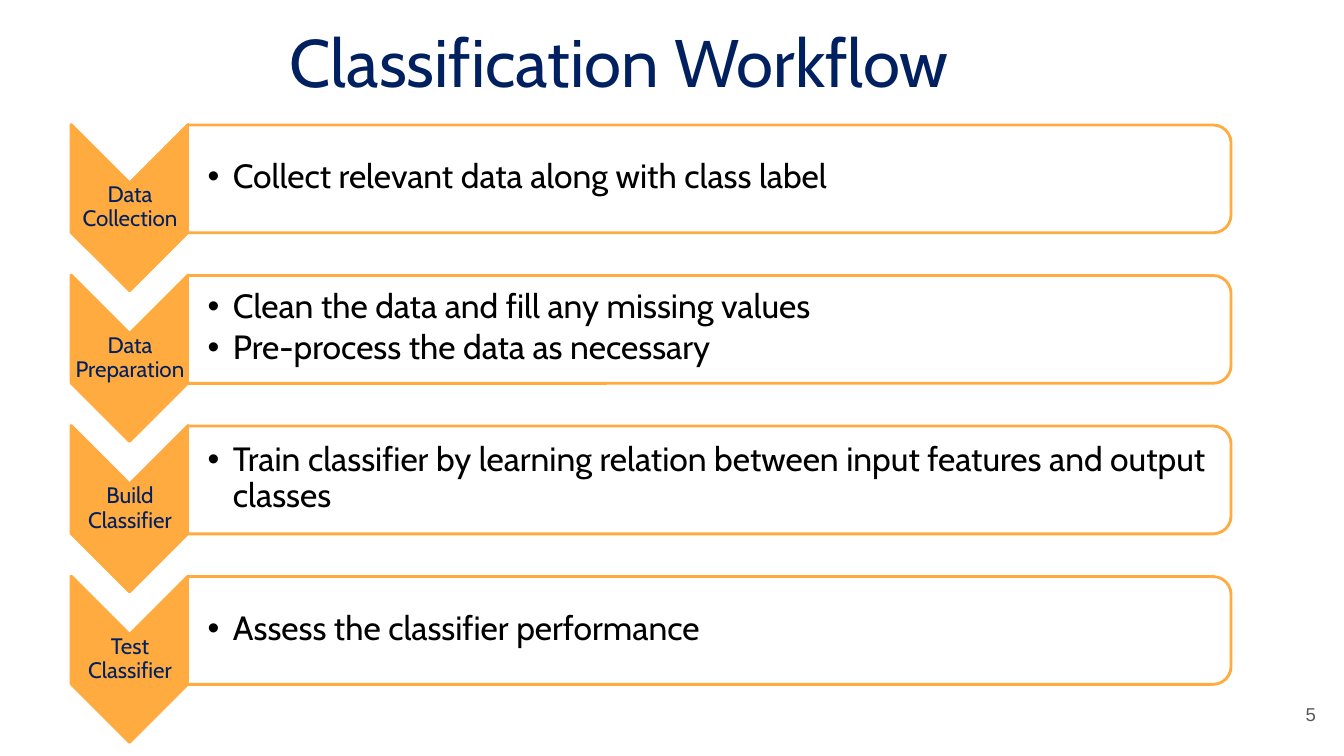
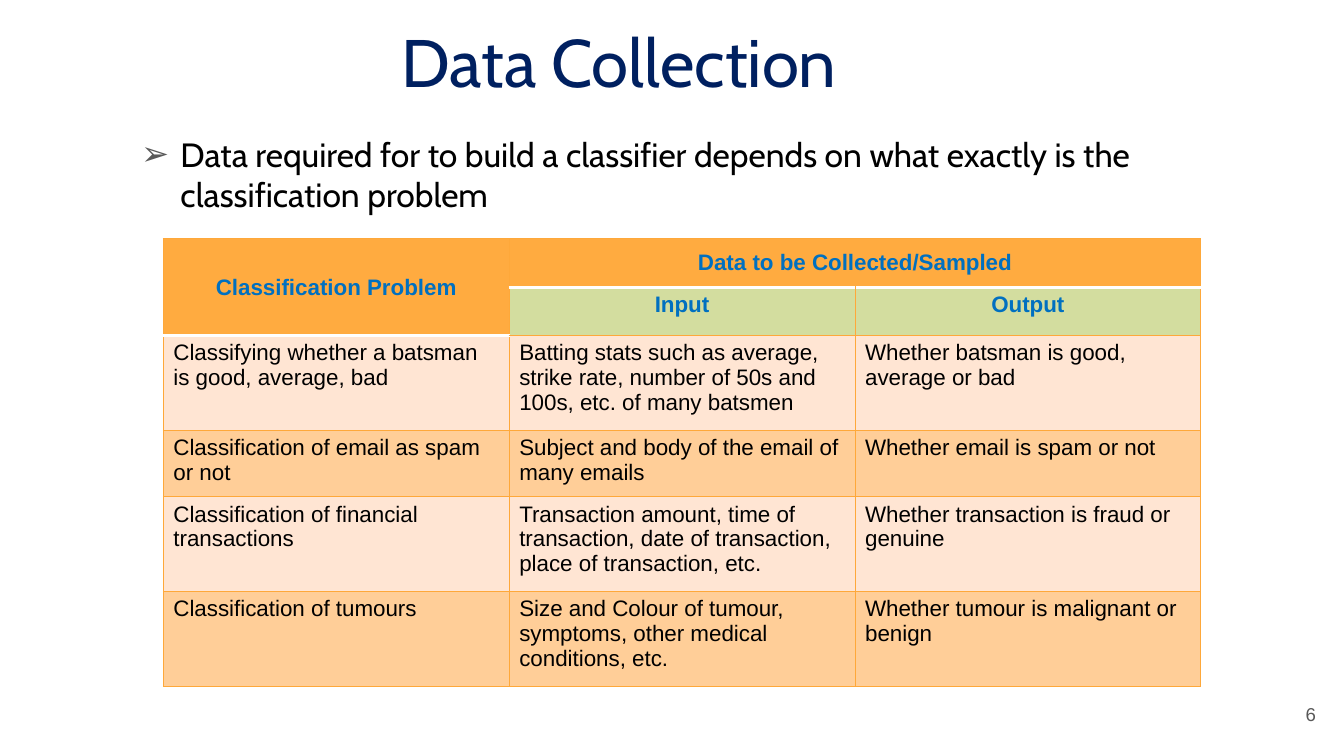
from lxml import etree
from pptx import Presentation
from pptx import util as u
from pptx.dml import color
from pptx.enum import shapes, text
from pptx.oxml import ns

NAVY, ORANGE, BLUE = "002060", "FFAB40", "0070C0"
BLACK, WHITE, GREY = "000000", "FFFFFF", "595959"
GREEN, PALE, PEACH, RULE = "D3DD9F", "FFE5D3", "FFCE98", "FEA83A"
TITLE_ONLY, TITLE_AND_BODY = 5, 1
MIDDLE, TOP = text.MSO_ANCHOR.MIDDLE, text.MSO_ANCHOR.TOP
LEFT, CENTER, RIGHT = text.PP_ALIGN.LEFT, text.PP_ALIGN.CENTER, text.PP_ALIGN.RIGHT


def rgb(value):
    return color.RGBColor.from_string(value)


def add_xml(parent, tag, **attributes):
    return etree.SubElement(parent, ns.qn(tag), attributes)


class Deck:
    def __init__(self):
        self.file = Presentation()
        self.file.slide_width = u.Inches(13.33)
        self.file.slide_height = u.Inches(7.5)
        self.page = None

    def add_page(self, layout, title, number):
        self.page = self.file.slides.add_slide(self.file.slide_layouts[layout])
        box = self.page.shapes.title
        self.place(box, 1.62, 0.15, 9.04, 0.91)
        self.set_frame(box.text_frame, (0.1, 0.05, 0.1, 0.05), TOP)
        self.set_text(box.text_frame, [title], 48, NAVY, align=CENTER)
        self.text_box((12.35, 6.8, 0.8, 0.57), [number], 13.3, GREY,
                      font="Arial", align=RIGHT, margins=(0.1,) * 4)

    def place(self, box, left, top, width, height):
        box.left, box.top = u.Inches(left), u.Inches(top)
        box.width, box.height = u.Inches(width), u.Inches(height)

    def set_text(self, frame, lines, size, ink, font="Cabin", align=LEFT, bold=False,
                 spacing=1.0, after=0, bullet=None):
        frame.text = "\n".join(lines)
        for para in frame.paragraphs:
            if bullet:
                self.bullet(para, *bullet)
            para.alignment = align
            para.line_spacing = spacing
            para.space_before, para.space_after = u.Pt(0), u.Pt(after)
            para.font.name, para.font.size = font, u.Pt(size)
            para.font.bold = bold
            para.font.color.rgb = rgb(ink)

    def bullet(self, para, symbol, ink, indent, hanging):
        properties = para._p.get_or_add_pPr()
        properties.set("marL", str(u.Inches(indent)))
        properties.set("indent", str(u.Inches(-hanging)))
        add_xml(add_xml(properties, "a:buClr"), "a:srgbClr", val=ink)
        add_xml(properties, "a:buFont", typeface="Arial")
        add_xml(properties, "a:buChar", char=symbol)

    def set_frame(self, frame, margins, anchor):
        frame.word_wrap = True
        frame.auto_size = text.MSO_AUTO_SIZE.NONE
        frame.vertical_anchor = anchor
        (frame.margin_left, frame.margin_top,
         frame.margin_right, frame.margin_bottom) = map(u.Inches, margins)

    def text_box(self, area, lines, size, ink, margins, **style):
        box = self.page.shapes.add_textbox(*map(u.Inches, area))
        self.set_frame(box.text_frame, margins, MIDDLE)
        self.set_text(box.text_frame, lines, size, ink, **style)

    def body(self, area, lines):
        box = self.page.placeholders[1]
        self.place(box, *area)
        self.set_frame(box.text_frame, (0.1, 0.05, 0.1, 0.05), TOP)
        self.set_text(box.text_frame, lines, 24, BLACK, bullet=("➢", GREY, 0.49, 0.39))

    def turned_shape(self, kind, area, fill):
        shape = self.page.shapes.add_shape(kind, *map(u.Inches, area))
        shape.rotation = 90
        shape.shadow.inherit = False
        shape.fill.solid()
        shape.fill.fore_color.rgb = rgb(fill)
        shape.line.color.rgb = rgb(ORANGE)
        shape.line.width = u.Pt(2)

    def step(self, offset, label, lines):
        self.turned_shape(shapes.MSO_SHAPE.CHEVRON, (0.46, 1.48 + offset, 1.65, 1.16), ORANGE)
        self.text_box((0.71, 1.81 + offset, 1.16, 0.5), [label], 16, NAVY,
                      (0.01,) * 4, align=CENTER, spacing=0.9, after=5.6)
        self.turned_shape(shapes.MSO_SHAPE.ROUND_2_SAME_RECTANGLE,
                          (6.5, offset - 3.4, 1.07, 10.35), WHITE)
        self.text_box((1.87, 1.28 + offset, 10.29, 0.97), lines, 24, BLACK,
                      (0.19, 0.02, 0.02, 0.02), spacing=0.9, after=3.6,
                      bullet=("•", BLACK, 0.25, 0.25))

    def cell(self, cell, words, fill, header, white_sides=""):
        properties = cell._tc.get_or_add_tcPr()
        for side in "LRTB":
            ink, width = (WHITE, 2) if side in white_sides else (RULE, 0.75)
            line = add_xml(properties, f"a:ln{side}", w=str(u.Pt(width)))
            add_xml(add_xml(line, "a:solidFill"), "a:srgbClr", val=ink)
        cell.fill.solid()
        cell.fill.fore_color.rgb = rgb(fill)
        self.set_text(cell.text_frame, [words], 16, BLUE if header else BLACK,
                      font="Arial", align=CENTER if header else LEFT, bold=header)

    def table(self, left, top, column_width, heights, rows, fills, white_sides):
        size = (column_width * len(rows[0]), sum(heights))
        table = self.page.shapes.add_table(
            len(rows), len(rows[0]), *map(u.Inches, (left, top, *size))).table
        table.horz_banding = False
        for column in table.columns:
            column.width = u.Inches(column_width)
        for r, (height, row) in enumerate(zip(heights, rows)):
            table.rows[r].height = u.Inches(height)
            for c, words in enumerate(row):
                fill = ORANGE if (r, c) == (1, 0) else fills[r]
                self.cell(table.cell(r, c), words, fill, r < 2, white_sides.get((r, c), ""))
        for first, last in (((0, 0), (1, 0)), ((0, 1), (0, 2))):
            table.cell(*first).merge(table.cell(*last))
            table.cell(*first).vertical_anchor = MIDDLE


def main():
    deck = Deck()

    deck.add_page(TITLE_ONLY, "Classification Workflow", "5")
    steps = [
        ("Data Collection", ["Collect relevant data along with class label"]),
        ("Data Preparation", ["Clean the data and fill any missing values",
                              "Pre-process the data as necessary"]),
        ("Build Classifier", ["Train classifier by learning relation between input "
                              "features and output classes"]),
        ("Test Classifier", ["Assess the classifier performance"]),
    ]
    for index, (label, lines) in enumerate(steps):
        deck.step(index * 4.48 / 3, label, lines)

    deck.add_page(TITLE_AND_BODY, "Data Collection", "6")
    deck.body((1.2, 1.28, 10.73, 5.47),
              ["Data required for to build a classifier depends on what exactly is "
               "the classification problem"])
    rows = [
        ("Classification Problem", "Data to be Collected/Sampled", ""),
        ("", "Input", "Output"),
        ("Classifying whether a batsman is good, average, bad",
         "Batting stats such as average, strike rate, number of 50s and 100s, etc. of many batsmen",
         "Whether batsman is good, average or bad"),
        ("Classification of email as spam or not",
         "Subject and body of the email of many emails",
         "Whether email is spam or not"),
        ("Classification of financial transactions",
         "Transaction amount, time of transaction, date of transaction, place of transaction, etc.",
         "Whether transaction is fraud or genuine"),
        ("Classification of tumours",
         "Size and Colour of tumour, symptoms, other medical conditions, etc.",
         "Whether tumour is malignant or benign"),
    ]
    deck.table(1.62, 2.37, 3.43, (0.48, 0.48, 0.94, 0.66, 0.94, 0.94), rows,
               (ORANGE, GREEN, PALE, PEACH, PALE, PEACH),
               {(0, 0): "B", (1, 0): "B", (2, 0): "T", (0, 1): "B",
                (0, 2): "B", (1, 1): "T", (1, 2): "T"})

    deck.file.save("out.pptx")


if __name__ == "__main__":
    main()
